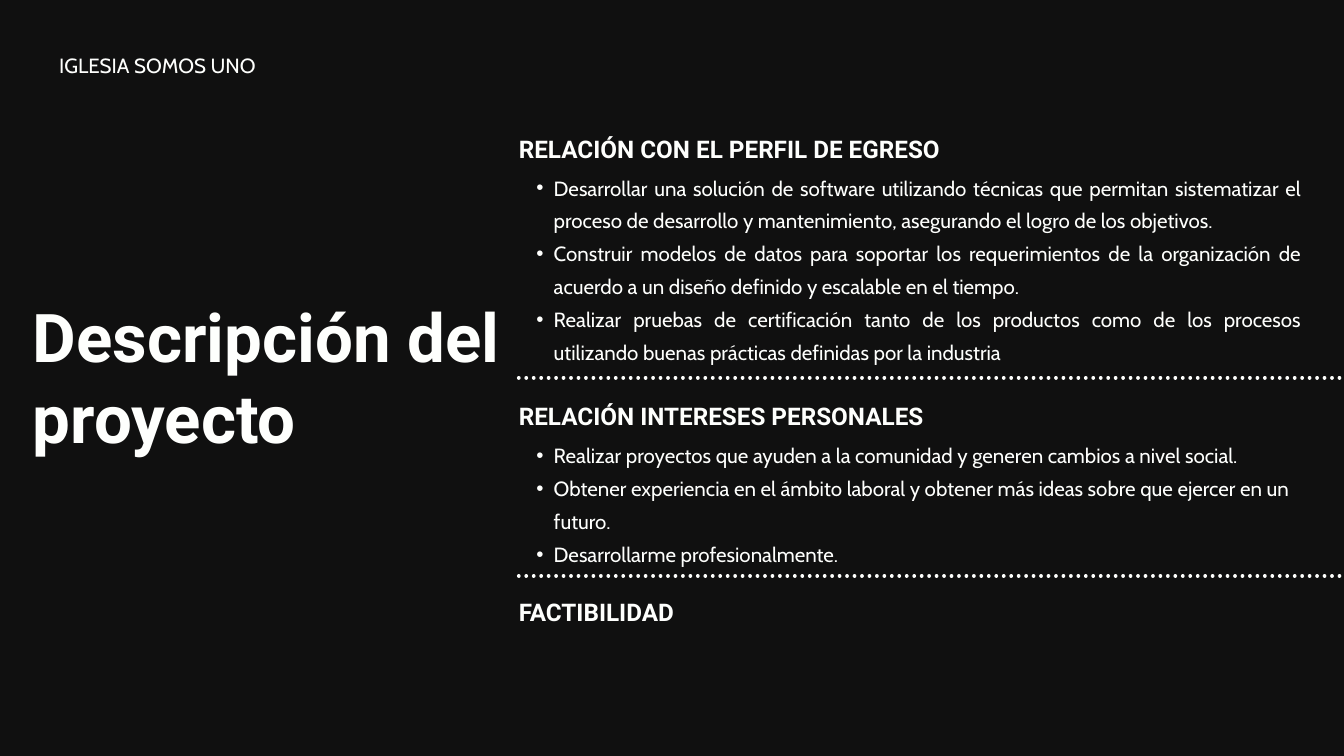
from lxml.etree import SubElement
from pptx import Presentation
from pptx.dml.color import RGBColor
from pptx.enum.dml import MSO_LINE_DASH_STYLE as Dash
from pptx.enum.shapes import MSO_CONNECTOR_TYPE as Connector
from pptx.enum.text import MSO_ANCHOR as Anchor, MSO_AUTO_SIZE as AutoSize, PP_ALIGN as Align
from pptx.oxml.ns import qn
from pptx.util import Pt

PX = 9144
WIDTH, HEIGHT = 2000, 1125
COLUMN_LEFT, COLUMN_WIDTH = 772, 1164
INK, BACKGROUND = "FEFFFD", "101010"

PROFILE = [
    "Desarrollar una solución de software utilizando técnicas que permitan sistematizar el proceso de desarrollo y mantenimiento, asegurando el logro de los objetivos.",
    "Construir modelos de datos para soportar los requerimientos de la organización de acuerdo a un diseño definido y escalable en el tiempo.",
    "Realizar pruebas de certificación tanto de los productos como de los procesos utilizando buenas prácticas definidas por la industria",
]
INTERESTS = [
    "Realizar proyectos que ayuden a la comunidad y generen cambios a nivel social.",
    "Obtener experiencia en el ámbito laboral y obtener más ideas sobre que ejercer en un futuro.",
    "Desarrollarme profesionalmente.",
]


def color(value):
    return RGBColor.from_string(value)


def add_bullet(para):
    para.level = 1
    properties = para._p.get_or_add_pPr()
    properties.set("marL", str(52 * PX))
    properties.set("indent", str(-26 * PX))
    SubElement(properties, qn("a:buFont"), typeface="Arial")
    SubElement(properties, qn("a:buChar"), char="•")


def write(shape, box, lines, font, size, spacing, bold=False, align=Align.LEFT, bullets=False):
    shape.left, shape.top, shape.width, shape.height = [value * PX for value in box]
    frame = shape.text_frame
    frame.word_wrap = True
    frame.auto_size = AutoSize.SHAPE_TO_FIT_TEXT
    frame.vertical_anchor = Anchor.TOP
    frame.margin_left = frame.margin_top = frame.margin_right = frame.margin_bottom = 0
    frame.text = "\n".join(lines)
    for para in frame.paragraphs:
        para.alignment = align
        para.line_spacing = Pt(spacing)
        para.space_before = Pt(0)
        if bullets:
            add_bullet(para)
        para.font.name = font
        para.font.size = Pt(size)
        para.font.bold = bold
        para.font.color.rgb = color(INK)


def add_text_box(page):
    return page.shapes.add_textbox(0, 0, PX, PX)


def write_heading(shape, top, text):
    write(shape, (COLUMN_LEFT, top, COLUMN_WIDTH, 47), [text], "Roboto", 26, 36.4, bold=True)


def add_divider(page, top):
    line = page.shapes.add_connector(
        Connector.STRAIGHT, COLUMN_LEFT * PX, top * PX, WIDTH * PX, top * PX)
    line.line.color.rgb = color(INK)
    line.line.width = Pt(4)
    line.line.dash_style = Dash.ROUND_DOT
    line.line._get_or_add_ln().set("cap", "rnd")
    SubElement(line._element.spPr, qn("a:effectLst"))


def build_section(page, heading, body, box, title, items, align):
    top, height = box
    write_heading(heading, top, title)
    write(body, (COLUMN_LEFT, top + 57, COLUMN_WIDTH, height - 84), items,
          "Cabin", 22, 35.2, align=align, bullets=True)
    add_divider(page, top + height)


def build_description(deck):
    page = deck.slides.add_slide(deck.slide_layouts[4])
    page.background.fill.solid()
    page.background.fill.fore_color.rgb = color(BACKGROUND)
    title, first_heading, first_body, second_heading, second_body = list(page.placeholders)[:5]
    write(title, (49, 440, 723, 241), ["Descripción del proyecto"], "Roboto", 72, 86.4, bold=True)
    build_section(page, first_heading, first_body, (192, 370),
                  "RELACIÓN CON EL PERFIL DE EGRESO", PROFILE, Align.JUSTIFY)
    build_section(page, second_heading, second_body, (590, 267),
                  "RELACIÓN INTERESES PERSONALES", INTERESTS, Align.LEFT)
    write_heading(add_text_box(page), 881, "FACTIBILIDAD")
    write(add_text_box(page), (88, 72, 529, 41), ["IGLESIA SOMOS UNO"], "Cabin", 22, 30.8)


def main():
    deck = Presentation()
    deck.slide_width, deck.slide_height = WIDTH * PX, HEIGHT * PX
    build_description(deck)
    deck.save("out.pptx")


if __name__ == "__main__":
    main()
